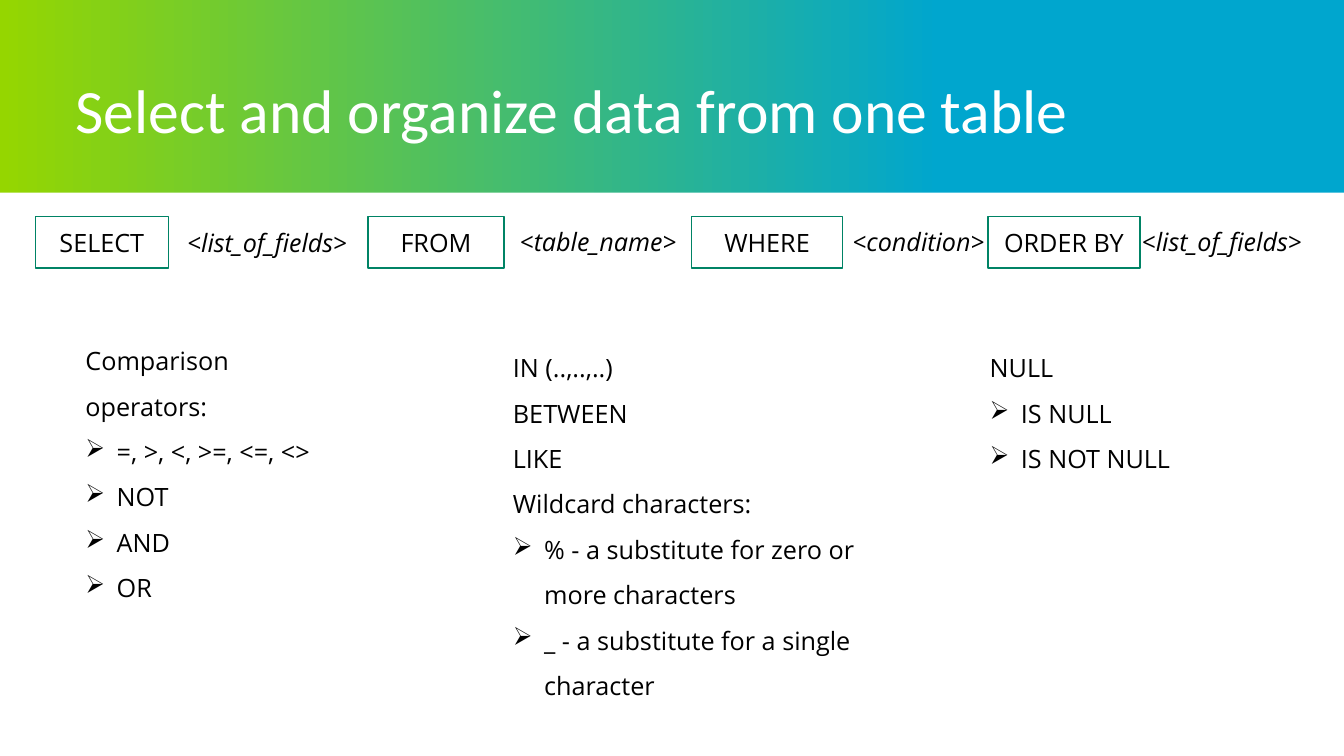
import dataclasses

import pptx
import pptx.dml.color
import pptx.enum.shapes
import pptx.enum.text
import pptx.oxml
import pptx.oxml.ns
import pptx.util

# Grid: tenths of an inch
CELL = pptx.util.Inches(0.1)
COLUMNS, ROWS = 133.33, 75
HEADER_ROWS = 19.1
CLAUSE_ROW, CLAUSE_ROWS = 21.5, 5.1
BULLET_INDENT = 3.1

BLACK, WHITE, BLUE, LIME, GREEN = "000000", "FFFFFF", "00A6CE", "95D600", "008365"
BODY_FONT, TITLE_FONT = "Open Sans", "Calibri"


@dataclasses.dataclass(frozen=True)
class Area:
    column: float
    row: float
    columns: float
    rows: float


@dataclasses.dataclass(frozen=True)
class Style:
    font: str = BODY_FONT
    size: float = 18
    color: str = BLACK
    italic: bool = False
    spacing: float = 1.0


@dataclasses.dataclass(frozen=True)
class Clause:
    keyword: str
    column: float
    columns: float
    argument: str
    argument_area: Area


@dataclasses.dataclass(frozen=True)
class Notes:
    area: Area
    plain: tuple[str, ...]
    bulleted: tuple[str, ...]


CLAUSES = (
    Clause("SELECT", 3.5, 13.2, "<list_of_fields>", Area(17.6, 22.1, 18.8, 4)),
    Clause("FROM", 36.5, 13.5, "<table_name>", Area(50.6, 22, 18.1, 4)),
    Clause("WHERE", 68.6, 15, "<condition>", Area(83.6, 22, 15.1, 4)),
    Clause("ORDER BY", 98, 15.1, "<list_of_fields>", Area(112.3, 22, 18.8, 4)),
)
NOTES = (
    Notes(Area(7.5, 32.3, 27.7, 26.8), ("Comparison operators:",),
          ("=, >, <, >=, <=, <>", "NOT", "AND", "OR")),
    Notes(Area(49.9, 33, 37.2, 37.4),
          ("IN (..,..,..)", "BETWEEN", "LIKE", "Wildcard characters:"),
          ("% - a substitute for zero or more characters",
           "_ - a substitute for a single character")),
    Notes(Area(97.2, 33, 25.8, 14.1), ("NULL",), ("IS NULL", "IS NOT NULL")),
)


def cells(count: float) -> int:
    return round(count * CELL)


def rgb(code: str) -> pptx.dml.color.RGBColor:
    return pptx.dml.color.RGBColor.from_string(code)


def bounds(area: Area) -> tuple[int, ...]:
    return tuple(cells(side) for side in dataclasses.astuple(area))


def add_rectangle(page, area: Area, fill: str | None = None, line: str | None = None):
    box = page.shapes.add_shape(
        pptx.enum.shapes.MSO_SHAPE.RECTANGLE, *bounds(area))
    box.shadow.inherit = False
    if fill:
        box.fill.solid()
        box.fill.fore_color.rgb = rgb(fill)
    if line:
        box.line.color.rgb = rgb(line)
        box.line.width = pptx.util.Pt(1)
    else:
        box.line.fill.background()
    return box


def add_text_box(page, area: Area, wrap: bool = True):
    box = page.shapes.add_textbox(*bounds(area))
    box.text_frame.word_wrap = wrap
    return box


def add_span(para, text: str, style: Style) -> None:
    para.line_spacing = style.spacing
    span = para.add_run()
    span.text = text
    span.font.name = style.font
    span.font.size = pptx.util.Pt(style.size)
    span.font.italic = style.italic
    span.font.color.rgb = rgb(style.color)


def add_bullet(para) -> None:
    properties = para._p.get_or_add_pPr()
    properties.set("marL", str(cells(BULLET_INDENT)))
    properties.set("indent", str(-cells(BULLET_INDENT)))
    properties.append(pptx.oxml.parse_xml(
        f'<a:buChar {pptx.oxml.ns.nsdecls("a")} char="➢"/>'))


def draw_header(page) -> None:
    band = add_rectangle(page, Area(0, 0, COLUMNS, ROWS))
    band.fill.gradient()
    band.fill.gradient_angle = 0
    stops = ((0, LIME), (0.7, BLUE))
    for stop, (position, color) in zip(band.fill.gradient_stops, stops):
        stop.position = position
        stop.color.rgb = rgb(color)
    add_rectangle(page, Area(0, HEADER_ROWS, COLUMNS, ROWS - HEADER_ROWS), WHITE)

    title = add_text_box(page, Area(7.5, 7.5, 118.3, 7.5)).text_frame
    title.margin_left = 0
    title.vertical_anchor = pptx.enum.text.MSO_ANCHOR.MIDDLE
    add_span(title.paragraphs[0], "Select and organize data from one table",
             Style(TITLE_FONT, 44, WHITE, spacing=0.9))


def draw_clause(page, clause: Clause) -> None:
    area = Area(clause.column, CLAUSE_ROW, clause.columns, CLAUSE_ROWS)
    keyword = add_rectangle(page, area, WHITE, GREEN).text_frame
    keyword.vertical_anchor = pptx.enum.text.MSO_ANCHOR.MIDDLE
    para = keyword.paragraphs[0]
    para.alignment = pptx.enum.text.PP_ALIGN.CENTER
    add_span(para, clause.keyword, Style())

    argument = add_text_box(page, clause.argument_area, wrap=False).text_frame
    add_span(argument.paragraphs[0], clause.argument, Style(italic=True))


def draw_notes(page, notes: Notes) -> None:
    frame = add_text_box(page, notes.area).text_frame
    for index, text in enumerate(notes.plain + notes.bulleted):
        para = frame.add_paragraph() if index else frame.paragraphs[0]
        add_span(para, text, Style(spacing=1.5))
        if index >= len(notes.plain):
            add_bullet(para)


def main() -> None:
    deck = pptx.Presentation()
    deck.slide_width, deck.slide_height = cells(COLUMNS), cells(ROWS)
    page = deck.slides.add_slide(deck.slide_layouts[6])

    # Title band
    draw_header(page)
    # Query syntax row
    for clause in CLAUSES:
        draw_clause(page, clause)
    # Operator columns
    for notes in NOTES:
        draw_notes(page, notes)

    deck.save("out.pptx")


if __name__ == "__main__":
    main()
